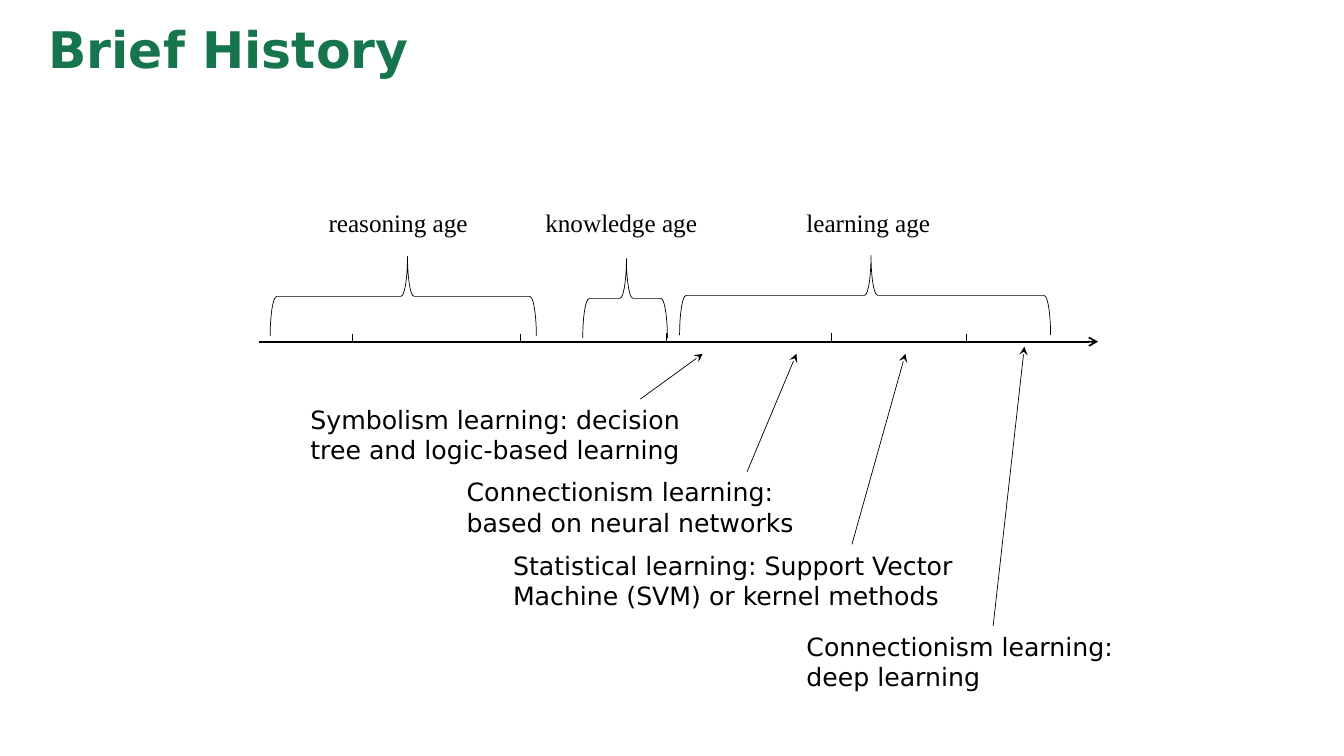
from typing import NamedTuple

from lxml.etree import SubElement
from pptx import Presentation
from pptx.dml.color import RGBColor
from pptx.enum.shapes import MSO_CONNECTOR as Line, MSO_SHAPE as Shape
from pptx.enum.text import MSO_ANCHOR as Anchor, MSO_AUTO_SIZE as Fit, PP_ALIGN as Align
from pptx.oxml.ns import qn
from pptx.util import Inches, Pt

GREEN = RGBColor(0x16, 0x75, 0x4D)
BLACK = RGBColor(0, 0, 0)
SANS = "DejaVu Sans"
SERIF = "Times New Roman"
AXIS_Y = 3.39
TICK = 0.08
BRACE = 0.79  # brace depth, from tip to ends


class Age(NamedTuple):
    name: str
    left: float
    width: float
    mid: float  # centre of the brace
    mid_y: float
    span: float


class Event(NamedTuple):
    text: str
    left: float
    top: float
    width: float
    tail: tuple[float, float]
    tip: tuple[float, float]


AGES = [
    Age("reasoning age", 3.16, 1.58, 4.0, 2.94, 2.64),
    Age("knowledge age", 5.31, 1.71, 6.2, 2.96, 0.84),
    Age("learning age", 7.9, 1.43, 8.58, 2.93, 3.68),
]
EVENTS = [
    Event("Symbolism learning: decision tree and logic-based learning",
          2.98, 3.96, 3.99, (6.35, 3.96), (6.97, 3.51)),
    Event("Connectionism learning: based on neural networks",
          4.53, 4.68, 3.64, (7.41, 4.68), (7.9, 3.51)),
    Event("Statistical learning: Support Vector Machine (SVM) or kernel methods",
          4.99, 5.41, 4.96, (8.45, 5.4), (8.98, 3.51)),
    Event("Connectionism learning: deep learning",
          7.9, 6.21, 3.26, (9.85, 6.21), (10.16, 3.44)),
]
TICKS = [(3.5, 3.31), (5.16, 3.31), (6.61, 3.3), (8.25, 3.3), (9.59, 3.31)]

deck = Presentation()
deck.slide_width, deck.slide_height = Inches(13.33), Inches(7.5)
slide = deck.slides.add_slide(deck.slide_layouts[5])


def add_run(frame, text: str, font: str, size: int,
            color: RGBColor = BLACK, bold: bool = False) -> None:
    run = frame.paragraphs[0].add_run()
    run.text = text
    run.font.name, run.font.size, run.font.bold = font, Pt(size), bold
    run.font.color.rgb = color


def add_label(text: str, left: float, top: float, width: float, height: float,
              font: str, wrap: bool) -> None:
    box = slide.shapes.add_textbox(*map(Inches, (left, top, width, height)))
    box.text_frame.word_wrap = wrap
    box.text_frame.auto_size = Fit.SHAPE_TO_FIT_TEXT
    add_run(box.text_frame, text, font, 18)


def add_line(start: tuple[float, float], end: tuple[float, float],
             width: float, head: str = "") -> None:
    line = slide.shapes.add_connector(Line.STRAIGHT, *map(Inches, start + end))
    line.line.color.rgb = BLACK
    line.line.width = Pt(width)
    if head:
        SubElement(line.line._get_or_add_ln(), qn("a:tailEnd"), type=head)
    SubElement(line._element.spPr, qn("a:effectLst"))


def add_age(age: Age) -> None:
    brace = slide.shapes.add_shape(
        Shape.RIGHT_BRACE, Inches(age.mid - BRACE / 2),
        Inches(age.mid_y - age.span / 2), Inches(BRACE), Inches(age.span))
    brace.rotation = 270
    brace.adjustments[0], brace.adjustments[1] = 0.083, 0.516
    brace.shadow.inherit = False
    brace.fill.background()
    brace.line.color.rgb = BLACK
    brace.line.width = Pt(0.5)
    add_label(age.name, age.left, 2.01, age.width, 0.4, SERIF, False)


def add_event(event: Event) -> None:
    add_line(event.tail, event.tip, 0.5, "stealth")
    add_label(event.text, event.left, event.top, event.width, 0.71, SANS, True)


# Title
title = slide.shapes.title
title.left, title.top = Inches(0.38), Inches(0.05)
title.width, title.height = Inches(11.5), Inches(0.85)
title.text_frame.vertical_anchor = Anchor.MIDDLE
title.text_frame.paragraphs[0].alignment = Align.LEFT
add_run(title.text_frame, "Brief History", SANS, 36, GREEN, True)

# Time axis
add_line((2.57, AXIS_Y), (10.89, AXIS_Y), 1.25, "arrow")
for x, y in TICKS:
    add_line((x, y), (x, y + TICK), 0.75)

# Ages above the axis
for age in AGES:
    add_age(age)

# Learning schools below the axis
for event in EVENTS:
    add_event(event)

deck.save("out.pptx")
